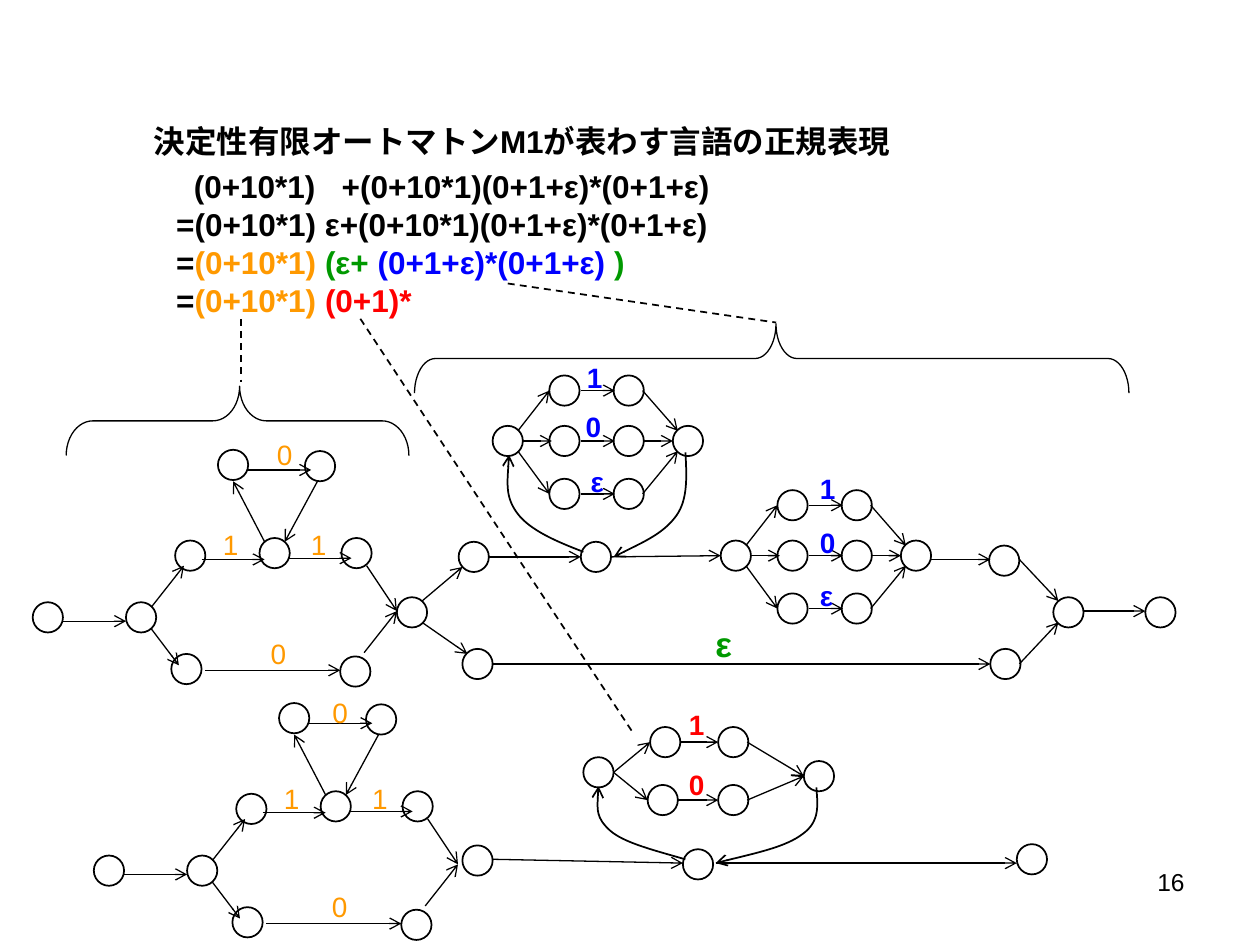
from dataclasses import dataclass

from lxml import etree
from pptx import Presentation
from pptx import util as u
from pptx.dml.color import RGBColor
from pptx.enum import dml, shapes, text
from pptx.oxml.ns import qn

COLUMNS, ROWS = 100, 75


@dataclass(frozen=True)
class Theme:
    font: str = "Arial"
    black: str = "000000"
    orange: str = "FF9900"
    green: str = "009900"
    blue: str = "0000FF"
    red: str = "FF0000"
    body: int = 18
    label: int = 16
    large: int = 20
    number: int = 14
    thin: float = 0.75
    outline: float = 1
    state: float = 2.4


THEME = Theme()


def assign(target, values):
    for name, value in values.items():
        setattr(target, name, value)


class Sketch:
    """Draws on one slide, in grid units measured from a movable origin."""

    def __init__(self, deck, theme):
        self.theme = theme
        self.page = deck.slides.add_slide(deck.slide_layouts[6])
        self.column = deck.slide_width / COLUMNS
        self.row = deck.slide_height / ROWS
        self.move(0, 0)

    def move(self, dx, dy):
        self.origin = dx, dy

    def point(self, x, y):
        dx, dy = self.origin
        return round((x + dx) * self.column), round((y + dy) * self.row)

    def frame(self, x, y, width, height):
        return *self.point(x, y), round(width * self.column), round(height * self.row)

    def stroke(self, item, width, arrow=False, dash=False):
        item.line.color.rgb = RGBColor.from_string(self.theme.black)
        item.line.width = u.Pt(width)
        if dash:
            item.line.dash_style = dml.MSO_LINE.DASH
        if arrow:
            line = item.line._get_or_add_ln()
            etree.SubElement(line, qn("a:tailEnd"), type="arrow")

    def outline(self, shape, width, arrow=False):
        shape.shadow.inherit = False
        shape.fill.background()
        self.stroke(shape, width, arrow)

    def state(self, x, y):
        size = self.theme.state
        circle = self.page.shapes.add_shape(
            shapes.MSO_SHAPE.OVAL, *self.frame(x, y, size, size))
        self.outline(circle, self.theme.outline)

    def states(self, *places):
        for place in places:
            self.state(*place)

    def line(self, x1, y1, x2, y2, dash=False):
        """Solid lines are arrows; dashed ones are plain pointers."""
        line = self.page.shapes.add_connector(
            shapes.MSO_CONNECTOR.STRAIGHT, *self.point(x1, y1), *self.point(x2, y2))
        width = self.theme.outline if dash else self.theme.thin
        self.stroke(line, width, arrow=not dash, dash=dash)
        etree.SubElement(line._element.spPr, qn("a:effectLst"))

    def arrows(self, *ends):
        for end in ends:
            self.line(*end)

    def curve(self, start, *points):
        """A Bezier arrow; every three points are two controls and an end."""
        builder = self.page.shapes.build_freeform(*self.point(*start))
        builder.add_line_segments([self.point(*p) for p in points], close=False)
        shape = builder.convert_to_shape()
        outline = next(shape._element.iter(qn("a:path")))
        steps = outline.findall(qn("a:lnTo"))
        for first in range(0, len(steps), 3):
            bezier = etree.SubElement(outline, qn("a:cubicBezTo"))
            for step in steps[first:first + 3]:
                bezier.append(step[0])
                outline.remove(step)
        self.outline(shape, self.theme.outline, arrow=True)

    def brace(self, x, y, width, height, bend):
        brace = self.page.shapes.add_shape(
            shapes.MSO_SHAPE.RIGHT_BRACE, *self.frame(x, y, width, height))
        brace.rotation = 270
        brace.adjustments[0], brace.adjustments[1] = bend, 0.506
        self.outline(brace, self.theme.thin)

    def text_box(self, place, lines, size, bold=True, wrap=True, align=text.PP_ALIGN.LEFT):
        """Each line is a list of (words, colour) spans."""
        box = self.page.shapes.add_textbox(*self.frame(*place)).text_frame
        assign(box, {"word_wrap": wrap, "auto_size": text.MSO_AUTO_SIZE.SHAPE_TO_FIT_TEXT})
        for index, spans in enumerate(lines):
            para = box.add_paragraph() if index else box.paragraphs[0]
            para.alignment = align
            for words, colour in spans:
                span = para.add_run()
                span.text = words
                assign(span.font, {"name": self.theme.font, "size": u.Pt(size), "bold": bold})
                span.font.color.rgb = RGBColor.from_string(colour)
        return box

    def label(self, words, x, y, colour, bold=True, size=None):
        size = size or self.theme.label
        self.text_box((x, y, 3.3, 3.7), [[(words, colour)]], size, bold, wrap=False)


def draw_formulas(sketch):
    t = sketch.theme
    sketch.text_box((11.2, 9.2, 70.9, 4),
                    [[("決定性有限オートマトンM1が表わす言語の正規表現", t.black)]], t.body)
    equals, prefix = ("=", t.black), ("(0+10*1) ", t.orange)
    box = sketch.text_box((13, 12.8, 57.3, 13.1), [
        [("(0+10*1)", t.black), (" ", t.black), ("+(0+10*1)(0+1+ε)*(0+1+ε)", t.black)],
        [("=(0+10*1) ε+(0+10*1)(0+1+ε)*(0+1+ε)", t.black)],
        [equals, prefix, ("(ε+ ", t.green), ("(0+1+ε)*(0+1+ε) ", t.blue), (")", t.green)],
        [equals, prefix, ("(0+1)*", t.red)],
    ], t.body)
    first = box.paragraphs[0]
    properties = first._p.get_or_add_pPr()
    properties.set("marL", str(u.Inches(0.14)))
    properties.set("indent", "0")
    first.runs[1].font._element.set("spc", "1000")  # widened gap before the plus
    sketch.text_box((71.7, 68.3, 23.3, 5.2), [[("16", t.black)]], t.number,
                    bold=False, align=text.PP_ALIGN.RIGHT)


def draw_prefix(sketch, dx, dy, top_label):
    """The automaton for 0+10*1."""
    sketch.move(dx, dy)
    sketch.states((2.6, 47.8), (10, 47.8), (13.9, 42.9), (20.6, 42.7), (27.1, 42.7),
                  (17.3, 35.7), (24.2, 35.8), (13.6, 51.9), (27, 52.1))
    sketch.arrows((5, 49.3, 10, 49.3), (12, 48.2, 14.6, 44.9), (12, 49.9, 14.2, 52.8),
                  (16.3, 53.2, 27, 53.2), (28.9, 51.8, 31.5, 48.5), (29.1, 44.9, 31.5, 48.5),
                  (19.7, 37.3, 24.7, 37.3), (16, 44.4, 21, 44.4), (22.9, 44.3, 27.9, 44.3),
                  (25.2, 38.2, 22.6, 43), (21, 43, 18.5, 38.2))
    for words, x, y in (("1", 16.7, 41.4), ("1", 23.7, 41.4), ("0", 20.5, 50), top_label):
        sketch.label(words, x, y, sketch.theme.orange, bold=False)
    sketch.move(0, 0)


def draw_choice(sketch, dx, dy, labels):
    """The automaton for 0+1+ε: three parallel branches."""
    sketch.move(dx, dy)
    sketch.states((39.1, 33.8), (53.4, 33.8))
    for y in (29.8, 33.8, 38):
        sketch.states((43.6, y), (48.7, y))
        sketch.line(46.1, y + 1.2, 48.8, y + 1.2)
    sketch.arrows((41.1, 34.2, 43.6, 31), (41.5, 35, 43.8, 35), (41.1, 35.8, 43.6, 39.2),
                  (51, 31, 53.8, 34.2), (51, 35, 53.4, 35), (51, 39.2, 53.8, 35.8))
    sketch.move(0, 0)
    for label in labels:
        sketch.label(*label, sketch.theme.blue)


def draw_upper(sketch):
    draw_prefix(sketch, 0, 0, ("0", 21, 34.2))
    draw_choice(sketch, 0, 0, (("1", 45.6, 28.1), ("0", 45.5, 32), ("ε", 45.9, 36.4)))
    draw_choice(sketch, 18.1, 9.1, (("1", 64.1, 36.9), ("0", 64.1, 41.2), ("ε", 64.1, 45.4)))
    sketch.states((31.5, 47.4), (36.4, 43), (46.1, 43), (36.7, 51.5), (78.5, 43.3),
                  (78.6, 51.5), (83.6, 47.4), (90.9, 47.4))
    sketch.arrows((33.5, 47.7, 36.7, 45), (33.5, 49.4, 37.1, 51.9), (38.7, 44.2, 46.1, 44.2),
                  (48.5, 44.2, 57.2, 44.1), (73.9, 44.4, 78.6, 44.4), (39.1, 52.7, 78.6, 52.7),
                  (80.9, 44.4, 84, 47.7), (80.9, 52.7, 84, 49.4), (86, 48.5, 90.9, 48.5))
    sketch.curve((46.3, 43.8), (44.2, 43), (42.1, 42.1), (41.1, 40.8),
                 (40.1, 39.5), (40.3, 37.8), (40.4, 36.1))
    sketch.curve((54.4, 35.9), (54.5, 37.8), (54.6, 39.6), (53.7, 40.9),
                 (52.7, 42.3), (50.7, 43.2), (48.7, 44.2))
    sketch.label("ε", 55.8, 48.9, sketch.theme.green, size=sketch.theme.large)


def draw_lower(sketch):
    draw_prefix(sketch, 4.85, 20.1, ("0", 20.55, 34.6))
    sketch.states((36.7, 67.1), (54.2, 67.4), (80.7, 67), (46.3, 60.1), (63.8, 60.4),
                  (51.6, 57.7), (57, 57.7), (51.4, 62.3), (57, 62.3))
    sketch.arrows((39.1, 68.2, 54.2, 68.5), (56.8, 68.5, 80.7, 68.5), (48.7, 61.3, 51.6, 58.9),
                  (48.7, 61.3, 51.4, 63.5), (54, 58.9, 57, 58.9), (53.8, 63.5, 57, 63.5),
                  (59.3, 58.9, 63.8, 61.6), (59.3, 63.5, 63.8, 61.6))
    sketch.curve((54.4, 68.2), (52, 67.5), (49.5, 66.9), (48.4, 65.9),
                 (47.3, 64.9), (47.4, 63.7), (47.5, 62.4))
    sketch.curve((64.8, 62.5), (64.9, 63.9), (65.1, 65.2), (63.7, 66.2),
                 (62.4, 67.2), (59.6, 67.8), (56.8, 68.5))
    for words, y in (("1", 55.7), ("0", 60.4)):
        sketch.label(words, 53.7, y, sketch.theme.red)


def draw_pointers(sketch):
    sketch.brace(16.1, 19.8, 5.5, 27.2, 0.385)
    sketch.brace(58.5, 0.1, 5.5, 56.7, 0.302)
    for ends in ((19.1, 25.3, 19.1, 30.3), (40.3, 22.5, 61.6, 25.6), (28.6, 25.3, 50.2, 58.1)):
        sketch.line(*ends, dash=True)


def main():
    deck = Presentation()
    assign(deck, {"slide_width": u.Inches(10), "slide_height": u.Inches(7.5)})
    sketch = Sketch(deck, THEME)
    for draw in (draw_formulas, draw_upper, draw_lower, draw_pointers):
        draw(sketch)
    deck.save("out.pptx")


if __name__ == "__main__":
    main()
